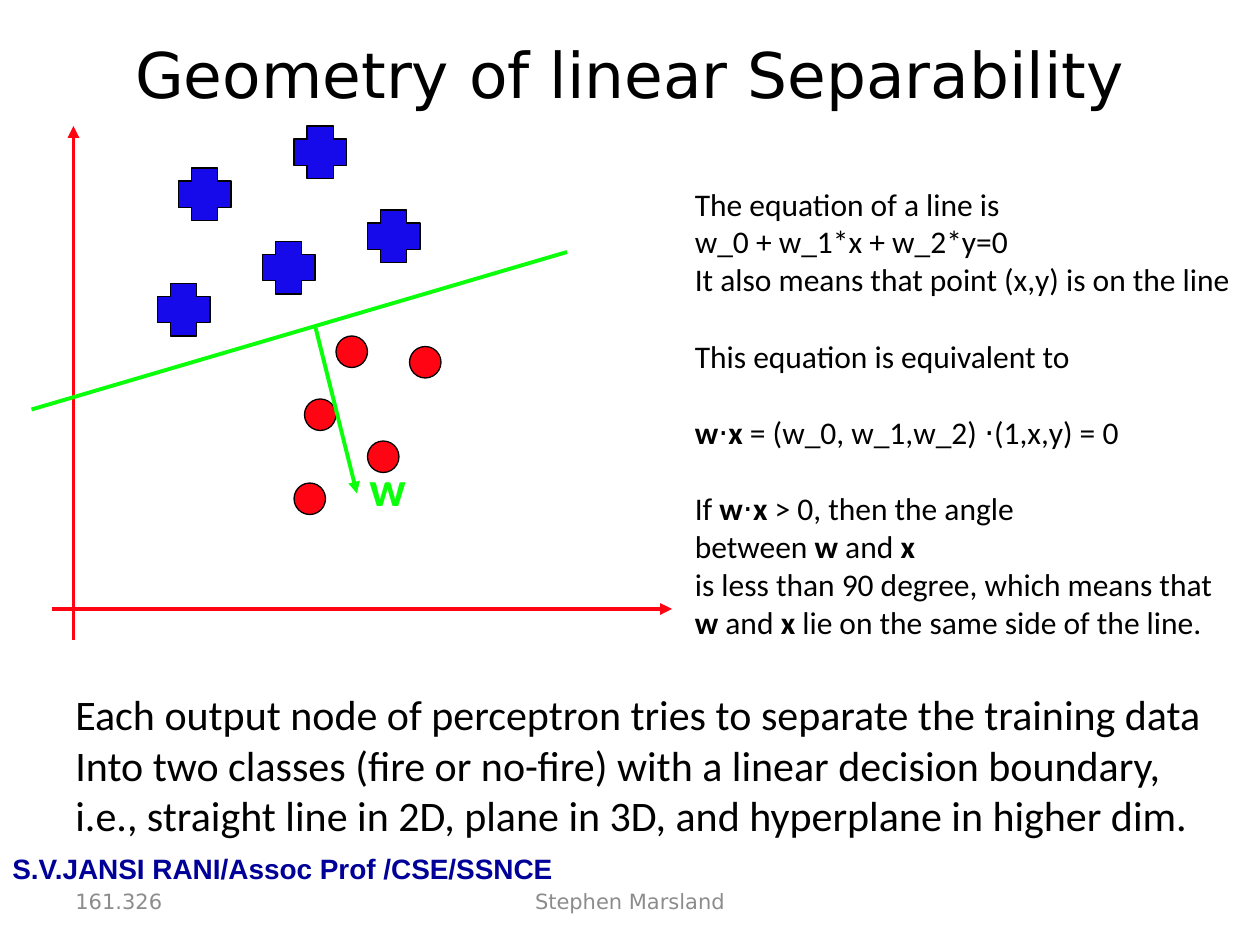
from dataclasses import dataclass

from lxml.etree import SubElement
from pptx import Presentation
from pptx.dml.color import RGBColor
from pptx.enum.shapes import MSO_CONNECTOR, MSO_SHAPE
from pptx.enum.text import MSO_ANCHOR, MSO_AUTO_SIZE, PP_ALIGN
from pptx.oxml.ns import qn
from pptx.util import Inches, Pt


@dataclass(frozen=True)
class Theme:
    black: RGBColor = RGBColor.from_string("000000")
    white: RGBColor = RGBColor.from_string("FFFFFF")
    red: RGBColor = RGBColor.from_string("FF0514")
    blue: RGBColor = RGBColor.from_string("160AEB")
    green: RGBColor = RGBColor.from_string("0BFF0B")
    navy: RGBColor = RGBColor.from_string("000099")
    gray: RGBColor = RGBColor.from_string("8C8C8C")
    heading: str = "DejaVu Sans"
    body: str = "Calibri"
    label: str = "Arial"
    title_size: int = 36
    vector_size: int = 28
    summary_size: int = 24
    equation_size: int = 18
    author_size: int = 16
    footer_size: int = 12
    outline: float = 0.75
    stroke: float = 2.25


theme = Theme()

# Grid of 120 columns by 90 rows
deck = Presentation()
deck.slide_width, deck.slide_height = Inches(10), Inches(7.5)
unit = deck.slide_width // 120
page = deck.slides.add_slide(deck.slide_layouts[5])


def write(box, text, *, size, font=theme.body, color=theme.black, bold=False,
          align=PP_ALIGN.LEFT, anchor=MSO_ANCHOR.TOP, wrap=True, gap=0):
    """Fill a box; | switches bold, and an extra newline puts a gap above a line."""
    frame = box.text_frame
    frame.word_wrap = wrap
    frame.auto_size = MSO_AUTO_SIZE.NONE
    frame.vertical_anchor = anchor
    for block_index, block in enumerate(text.split("\n\n")):
        for line_index, line in enumerate(block.split("\n")):
            first = block_index == line_index == 0
            para = frame.paragraphs[0] if first else frame.add_paragraph()
            para.alignment = align
            para.space_before = Pt(gap if block_index and not line_index else 0)
            for part_index, part in enumerate(line.split("|")):
                if part:
                    span = para.add_run()
                    span.text = part
                    span.font.size, span.font.name = Pt(size), font
                    span.font.bold = bold or part_index % 2 == 1
                    span.font.color.rgb = color


def draw_line(shapes, start, end, color, arrow=True):
    """Draw a straight line between two grid points."""
    ends = [value * unit for value in (*start, *end)]
    line = shapes.add_connector(MSO_CONNECTOR.STRAIGHT, *ends)
    line.line.color.rgb = color
    line.line.width = Pt(theme.stroke)
    properties = line._element.spPr
    if arrow:
        SubElement(properties.get_or_add_ln(), qn("a:tailEnd"), type="triangle")
    SubElement(properties, qn("a:effectLst"))


# Author strip
strip = page.shapes.add_shape(MSO_SHAPE.RECTANGLE, 0, round(79.6 * unit),
                              round(64.7 * unit), round(6.1 * unit))
strip.shadow.inherit = False
strip.fill.solid()
strip.fill.fore_color.rgb = strip.line.color.rgb = theme.white
strip.line.width = Pt(theme.outline)
write(strip, "S.V.JANSI RANI/Assoc Prof /CSE/SSNCE", size=theme.author_size,
      font=theme.label, color=theme.navy, bold=True,
      anchor=MSO_ANCHOR.MIDDLE, wrap=False)

# Footer
for text, column, width, align in (("161.326", 6, 28, PP_ALIGN.LEFT),
                                   ("Stephen Marsland", 41, 38, PP_ALIGN.CENTER)):
    footer = page.shapes.add_textbox(column * unit, round(83.4 * unit),
                                     width * unit, round(4.8 * unit))
    write(footer, text, size=theme.footer_size, font=theme.heading,
          color=theme.gray, align=align, anchor=MSO_ANCHOR.MIDDLE)

# Title
title = page.shapes.title
title.left, title.top, title.width, title.height = (
    value * unit for value in (9, 2, 102, 10))
write(title, "Geometry of linear Separability", size=theme.title_size,
      font=theme.heading, align=PP_ALIGN.CENTER, anchor=MSO_ANCHOR.MIDDLE)

# Axes
draw_line(page.shapes, (7, 61), (7, 12), theme.red)
draw_line(page.shapes, (5, 58), (64, 58), theme.red)

# The two classes of points
classes = (
    (MSO_SHAPE.CROSS, 5, theme.blue,
     ((17, 16), (25, 23), (28, 12), (15, 27), (35, 20))),
    (MSO_SHAPE.OVAL, 3, theme.red,
     ((32, 32), (29, 38), (28, 46), (35, 42), (39, 33))),
)
for kind, side, color, places in classes:
    for column, row in places:
        point = page.shapes.add_shape(kind, column * unit, row * unit,
                                      side * unit, side * unit)
        point.shadow.inherit = False
        point.fill.solid()
        point.fill.fore_color.rgb = color
        point.line.color.rgb = theme.black
        point.line.width = Pt(theme.outline)

# Decision boundary with its normal vector
boundary = page.shapes.add_group_shape()
draw_line(boundary.shapes, (3, 39), (54, 24), theme.green, arrow=False)
draw_line(boundary.shapes, (30, 31), (34, 47), theme.green)
vector = boundary.shapes.add_textbox(34 * unit, 43 * unit,
                                     round(5.8 * unit), round(6.8 * unit))
write(vector, "w", size=theme.vector_size, color=theme.green, bold=True, wrap=False)

# Equations of the line
equations = page.shapes.add_textbox(65 * unit, 17 * unit,
                                    55 * unit, round(48.5 * unit))
write(equations, """The equation of a line is
w_0 + w_1*x + w_2*y=0
It also means that point (x,y) is on the line

This equation is equivalent to

|w|⋅|x| = (w_0, w_1,w_2) ⋅(1,x,y) = 0

If |w|⋅|x| > 0, then the angle
between |w| and |x|
is less than 90 degree, which means that
|w| and |x| lie on the same side of the line.""", size=theme.equation_size, gap=22)

# Summary
summary = page.shapes.add_textbox(6 * unit, 65 * unit,
                                  round(110.6 * unit), round(15.7 * unit))
write(summary, """Each output node of perceptron tries to separate the training data
Into two classes (fire or no-fire) with a linear decision boundary,
i.e., straight line in 2D, plane in 3D, and hyperplane in higher dim.""",
      size=theme.summary_size, wrap=False)

deck.save("out.pptx")
